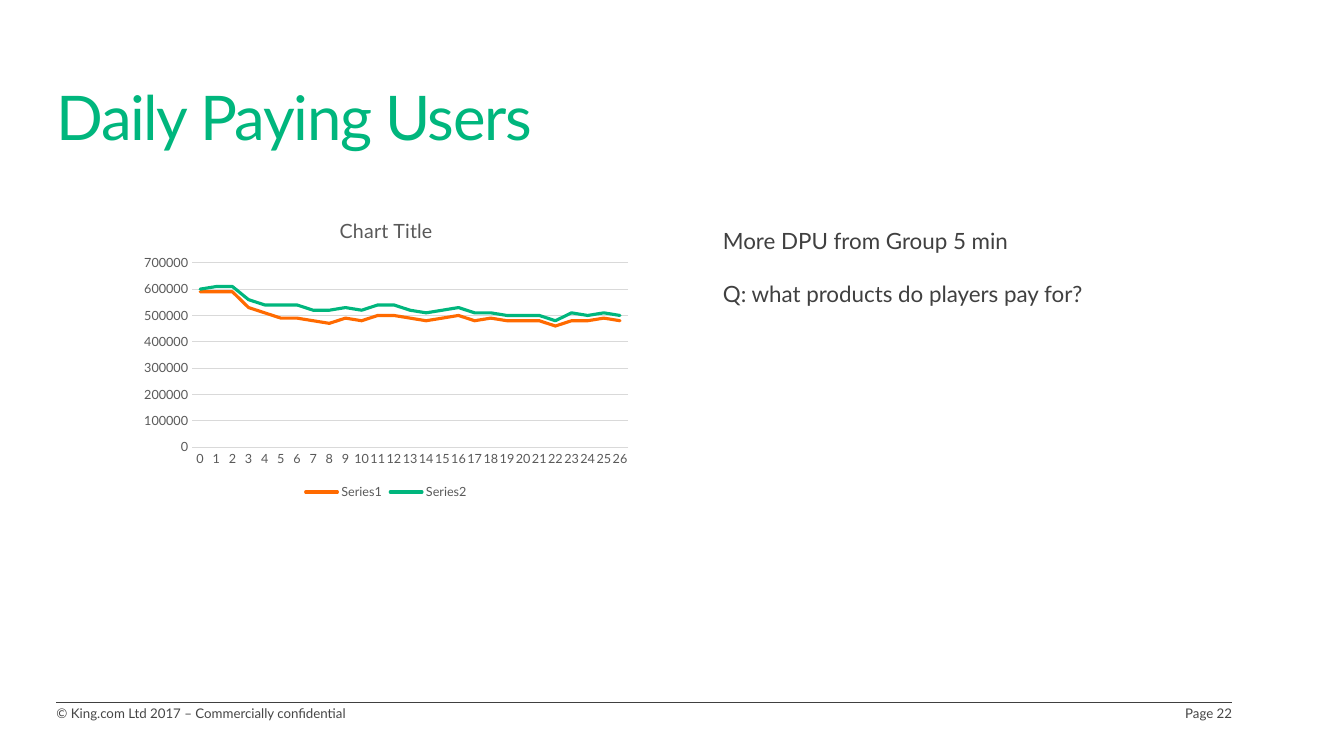
from dataclasses import dataclass

from lxml.etree import SubElement
from pptx import Presentation
from pptx.chart.data import CategoryChartData
from pptx.dml.color import RGBColor as Rgb
from pptx.enum.chart import XL_CHART_TYPE as ChartType
from pptx.enum.chart import XL_LEGEND_POSITION as LegendPosition
from pptx.enum.chart import XL_TICK_MARK as TickMark
from pptx.enum.shapes import MSO_CONNECTOR as Connector
from pptx.enum.text import MSO_ANCHOR as Anchor
from pptx.enum.text import PP_ALIGN as Align
from pptx.oxml.ns import qn
from pptx.util import Emu, Pt

EMU_PER_PX = 9144  # 100 px to the inch


@dataclass(frozen=True)
class Theme:
    face: str = "Lato"
    green: str = "00B67D"
    orange: str = "FF6A00"
    ink: str = "404040"
    footer_ink: str = "464646"
    chart_ink: str = "595959"
    grid: str = "D9D9D9"
    title_size: float = 44
    body_size: float = 16
    chart_title_size: float = 14
    axis_size: float = 9
    footer_size: float = 9.5


def px(length):
    return Emu(length * EMU_PER_PX)


def apply(target, formats):
    for name, value in formats.items():
        setattr(target, name, value)


class SlideBuilder:
    def __init__(self, slide, theme):
        self.slide = slide
        self.theme = theme

    def style_font(self, font, size, color):
        apply(font, {"name": self.theme.face, "size": Pt(size), "bold": False})
        font.color.rgb = Rgb.from_string(color)

    def style_line(self, line, color, width):
        line.color.rgb = Rgb.from_string(color)
        line.width = Pt(width)

    def text(self, box, lines, size, color, gap=0, tracking=0,
             anchor=Anchor.TOP, **paragraph_format):
        frame = self.slide.shapes.add_textbox(*map(px, box)).text_frame
        apply(frame, {"word_wrap": True, "vertical_anchor": anchor,
                      "margin_left": 0, "margin_right": 0,
                      "margin_top": 0, "margin_bottom": 0})
        for index, line in enumerate(lines):
            paragraph = frame.add_paragraph() if index else frame.paragraphs[0]
            apply(paragraph, paragraph_format)
            if index:
                paragraph.space_before = Pt(gap)
            run = paragraph.add_run()
            run.text = line
            self.style_font(run.font, size, color)
            if tracking:
                run.font._element.set("spc", str(tracking))

    def rule(self, left, right, y, color, width):
        line = self.slide.shapes.add_connector(
            Connector.STRAIGHT, px(left), px(y), px(right), px(y))
        self.style_line(line.line, color, width)
        SubElement(line._element.spPr, qn("a:effectLst"))

    def line_chart(self, box, title, categories, series):
        theme = self.theme
        data = CategoryChartData(number_format="0")
        data.categories = categories
        for name, values, _ in series:
            data.add_series(name, values)
        chart = self.slide.shapes.add_chart(
            ChartType.LINE, *map(px, box), data).chart
        self.style_font(chart.font, theme.axis_size, theme.chart_ink)

        # Chart title and legend
        apply(chart, {"has_title": True, "has_legend": True})
        heading = chart.chart_title.text_frame
        heading.text = title
        self.style_font(heading.paragraphs[0].runs[0].font,
                        theme.chart_title_size, theme.chart_ink)
        chart.chart_title.include_in_layout = False
        apply(chart.legend, {"position": LegendPosition.BOTTOM,
                             "include_in_layout": False})
        self.style_font(chart.legend.font, theme.axis_size, theme.chart_ink)

        # Axes and gridlines
        for axis in (chart.category_axis, chart.value_axis):
            apply(axis, {"major_tick_mark": TickMark.NONE,
                         "minor_tick_mark": TickMark.NONE})
            self.style_font(axis.tick_labels.font,
                            theme.axis_size, theme.chart_ink)
            label_body = axis._element.find(qn("c:txPr")).find(qn("a:bodyPr"))
            label_body.set("rot", "-60000000")
        self.style_line(chart.category_axis.format.line, theme.grid, 0.75)
        apply(chart.value_axis, {"minimum_scale": 0, "maximum_scale": 700000,
                                 "major_unit": 100000,
                                 "has_major_gridlines": True})
        chart.value_axis.format.line.fill.background()
        self.style_line(chart.value_axis.major_gridlines.format.line,
                        theme.grid, 0.75)

        # Series
        plot = chart.plots[0]
        plot.vary_by_categories = False
        for plotted, (_, _, color) in zip(plot.series, series):
            plotted.smooth = False
            self.style_line(plotted.format.line, color, 2.25)
            line_element = plotted.format.line._ln
            line_element.set("cap", "rnd")
            SubElement(line_element, qn("a:round"))


# Daily paying users by day, in thousands
GROUP_ONE = [590, 590, 590, 530, 510, 490, 490, 480, 470,
             490, 480, 500, 500, 490, 480, 490, 500, 480,
             490, 480, 480, 480, 460, 480, 480, 490, 480]
GROUP_TWO = [600, 610, 610, 560, 540, 540, 540, 520, 520,
             530, 520, 540, 540, 520, 510, 520, 530, 510,
             510, 500, 500, 500, 480, 510, 500, 510, 500]


def main():
    deck = Presentation()
    apply(deck, {"slide_width": px(1333), "slide_height": px(750)})
    theme = Theme()
    page = SlideBuilder(deck.slides.add_slide(deck.slide_layouts[6]), theme)

    # Footer
    page.rule(56, 1222, 697, theme.ink, 0.5)
    page.text((56, 700, 425, 29),
              ["© King.com Ltd 2017 – Commercially confidential"],
              theme.footer_size, theme.footer_ink)
    page.text((1143, 700, 79, 13), ["Page 22"],
              theme.footer_size, theme.footer_ink, alignment=Align.RIGHT)

    # Title
    page.text((56, 52, 1232, 138), ["Daily Paying Users"],
              theme.title_size, theme.green, tracking=-100,
              anchor=Anchor.MIDDLE, line_spacing=0.85)

    # Chart
    page.line_chart(
        (133, 200, 500, 300), "Chart Title",
        [str(day) for day in range(len(GROUP_ONE))],
        [("Series1", [users * 1000 for users in GROUP_ONE], theme.orange),
         ("Series2", [users * 1000 for users in GROUP_TWO], theme.green)])

    # Findings
    page.text((717, 225, 442, 81),
              ["More DPU from Group 5 min",
               "Q: what products do players pay for?"],
              theme.body_size, theme.ink, gap=19)

    deck.save("out.pptx")


if __name__ == "__main__":
    main()
